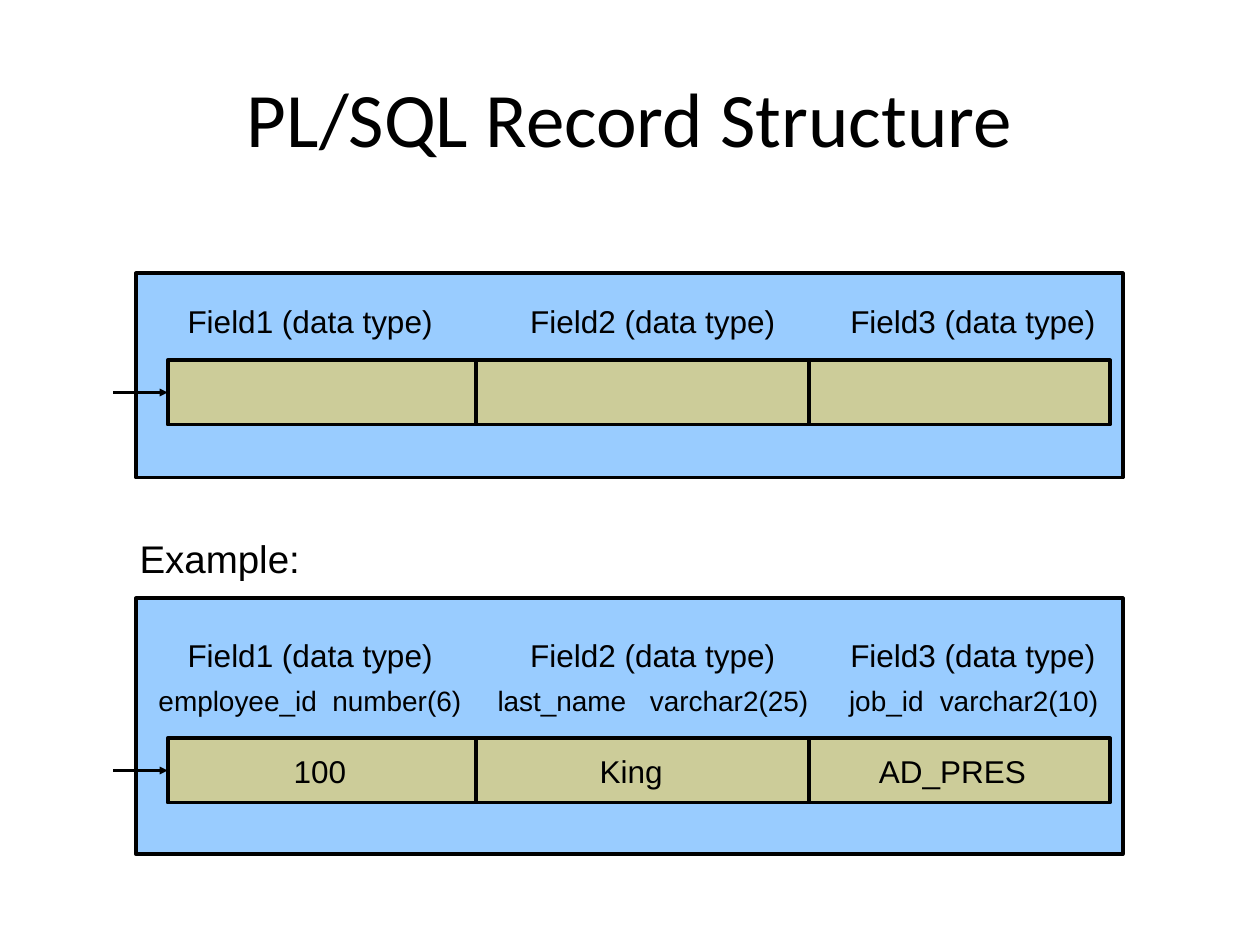
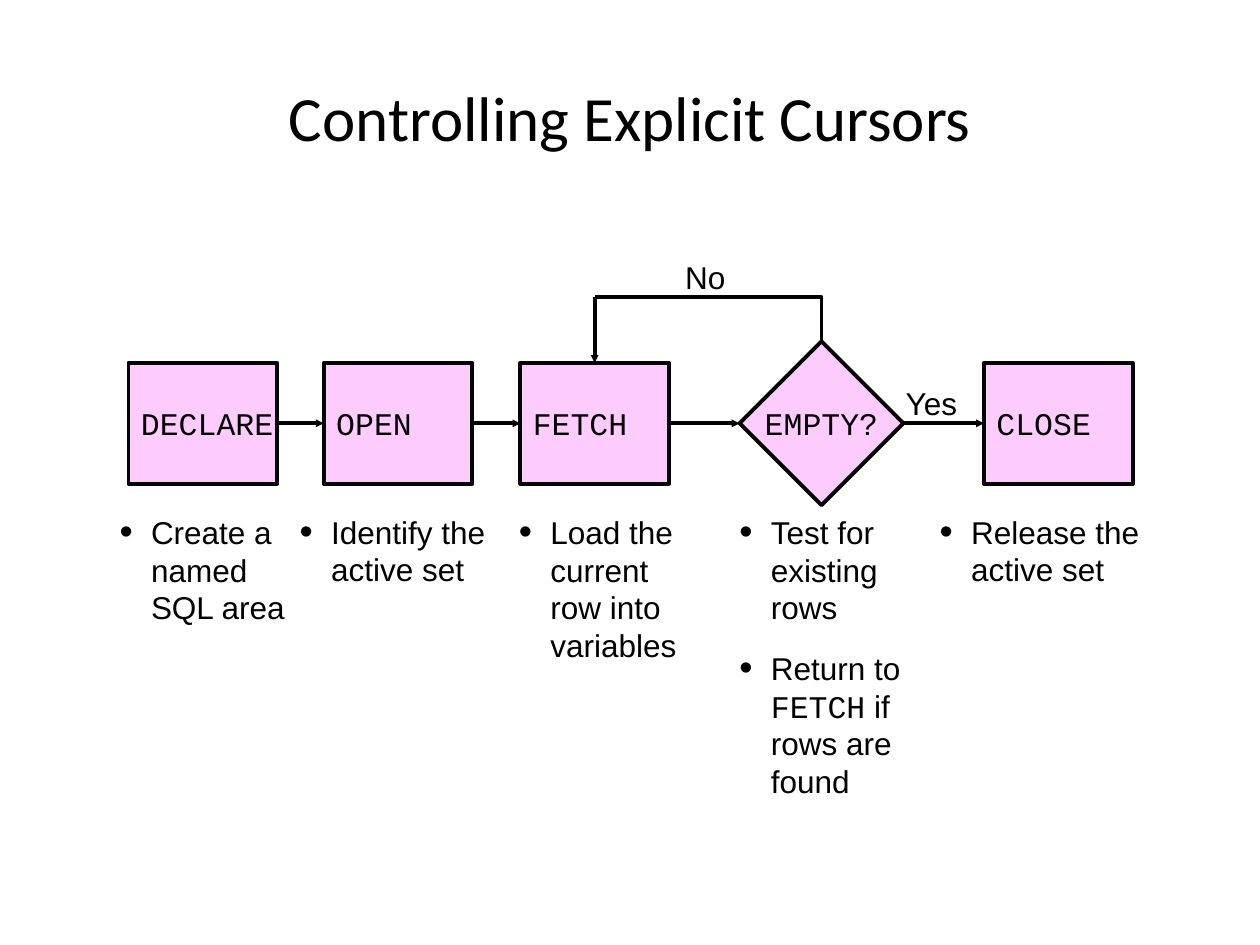
from lxml.etree import SubElement
from pptx import Presentation
from pptx.dml.color import RGBColor
from pptx.enum.shapes import MSO_CONNECTOR as Connector, MSO_SHAPE as Preset
from pptx.enum.text import MSO_ANCHOR as Anchor, PP_ALIGN as Align
from pptx.oxml.ns import qn
from pptx.util import Inches, Pt

COLORS = {"ink": "000000", "record": "99CCFF", "field": "CCCC99", "step": "FFCCFF"}
CODE_FONT = "Courier New"
LINE_WIDTH = Pt(2.25)
COLUMN_LEFTS = [1.39, 4.11, 6.65]
DIVIDERS = [3.78, 6.42]
TOP, LEFT, RIGHT = 0, 1, 3


def color(name):
    """Return the named colour."""
    return RGBColor.from_string(COLORS[name])


def add_bullet(para):
    """Give the paragraph a hanging round bullet."""
    props = para._p.get_or_add_pPr()
    props.set("marL", str(Inches(0.25)))
    props.set("indent", str(-Inches(0.25)))
    SubElement(props, qn("a:buSzPct"), val="120000")
    SubElement(props, qn("a:buFont"), typeface="Arial")
    SubElement(props, qn("a:buChar"), char="•")


def add_tabs(para, stops, kind):
    """Set tab stops, given in inches from the text edge."""
    tabs = SubElement(para._p.get_or_add_pPr(), qn("a:tabLst"))
    for stop in stops:
        SubElement(tabs, qn("a:tab"), pos=str(Inches(stop)), algn=kind)


def write(box, text, size=18, font="Arial", align=Align.LEFT, anchor=Anchor.TOP,
          wrap=True, bullet=False, tabs=(), tab_kind="l", spacing=None):
    """Write text, or a list of (text, font) pairs, into a box."""
    frame = box.text_frame
    frame.word_wrap = wrap
    frame.vertical_anchor = anchor
    para = frame.paragraphs[0]
    if bullet:
        add_bullet(para)
    if tabs:
        add_tabs(para, tabs, tab_kind)
    para.alignment = align
    para.line_spacing = spacing
    for words, face in [(text, font)] if isinstance(text, str) else text:
        span = para.add_run()
        span.text = words
        span.font.name = face
        span.font.size = Pt(size)
        span.font.color.rgb = color("ink")


def add_text(page, text, left, top, width, height, **style):
    """Add a text box."""
    box = page.shapes.add_textbox(*map(Inches, (left, top, width, height)))
    write(box, text, **style)


def add_title(page, text, size):
    """Add the centred slide title."""
    add_text(page, text, 0.5, 0.3, 9, 1.25, size=size, font="Calibri",
             align=Align.CENTER, anchor=Anchor.MIDDLE)


def outline(shape):
    """Give a shape or connector the common black line."""
    shape.line.color.rgb = color("ink")
    shape.line.width = LINE_WIDTH


def add_block(page, fill, left, top, width, height, preset=Preset.RECTANGLE):
    """Add a filled and outlined shape."""
    block = page.shapes.add_shape(preset, *map(Inches, (left, top, width, height)))
    block.shadow.inherit = False
    block.fill.solid()
    block.fill.fore_color.rgb = color(fill)
    outline(block)
    return block


def add_line(page, start=(0, 0), end=(0, 0), source=None, target=None, arrow=False):
    """Add a line between points or (shape, side) pairs."""
    line = page.shapes.add_connector(Connector.STRAIGHT, *map(Inches, (*start, *end)))
    outline(line)
    if source:
        line.begin_connect(*source)
    if target:
        line.end_connect(*target)
    if arrow:
        SubElement(line.line._get_or_add_ln(), qn("a:tailEnd"),
                   type="triangle", w="sm", len="sm")
    SubElement(line._element.spPr, qn("a:effectLst"))


def add_record(page, top, height, label_top, bar_top):
    """Draw a record of three labelled fields and return its bar."""
    add_block(page, "record", 1.08, top, 7.83, height)
    bar = add_block(page, "field", 1.33, bar_top, 7.48, 0.51)
    middle = bar_top + 0.51 / 2
    add_line(page, (0.9, middle), (1.33, middle), target=(bar, LEFT), arrow=True)
    for x in DIVIDERS:
        add_line(page, (x, bar_top + 0.01), (x, bar_top + 0.52))
    for number, left in enumerate(COLUMN_LEFTS, 1):
        add_text(page, f"Field{number} (data type)", left, label_top, 2.25, 0.4)
    return bar


def build_record_slide(page):
    """Build the slide on record structure."""
    add_title(page, "PL/SQL Record Structure", 44)
    add_record(page, 2.17, 1.62, 2.35, 2.86)
    add_text(page, "Example:", 1.01, 4.22, 8.01, 0.45, size=22, spacing=0.95)
    bar = add_record(page, 4.75, 2.03, 5, 5.86)
    write(bar, "\t100\tKing\tAD_PRES", anchor=Anchor.MIDDLE,
          tabs=[1.11, 3.58, 6.13], tab_kind="ctr")
    columns = [("employee_id\tnumber(6)", 1.16, 2.7, 1.38),
               ("last_name\tvarchar2(25)", 3.85, 2.75, 1.21),
               ("job_id\tvarchar2(10)", 6.64, 2.25, 0.72)]
    for text, left, width, stop in columns:
        add_text(page, text, left, 5.38, width, 0.37, size=16, tabs=[stop])


def build_cursor_slide(page):
    """Build the slide on the steps of an explicit cursor."""
    add_title(page, "Controlling Explicit Cursors", 36)
    steps = {}
    for name, left in [("DECLARE", 1.02), ("OPEN", 2.57), ("FETCH", 4.13), ("CLOSE", 7.81)]:
        steps[name] = add_block(page, "step", left, 2.88, 1.18, 0.96)
        write(steps[name], name, font=CODE_FONT, anchor=Anchor.MIDDLE, wrap=False)
    steps["EMPTY?"] = add_block(page, "step", 5.87, 2.71, 1.3, 1.3, Preset.DIAMOND)
    write(steps["EMPTY?"], "EMPTY?", font=CODE_FONT, align=Align.CENTER,
          anchor=Anchor.MIDDLE, wrap=False)

    order = ["DECLARE", "OPEN", "FETCH", "EMPTY?", "CLOSE"]
    for before, after in zip(order, order[1:]):
        add_line(page, source=(steps[before], RIGHT), target=(steps[after], LEFT), arrow=True)

    builder = page.shapes.build_freeform(Inches(6.52), Inches(2.71))
    corners = [(6.52, 2.36), (4.72, 2.36)]
    builder.add_line_segments([(Inches(x), Inches(y)) for x, y in corners], close=False)
    loop = builder.convert_to_shape()
    loop.shadow.inherit = False
    loop.fill.background()
    outline(loop)
    add_line(page, (4.72, 2.36), target=(steps["FETCH"], TOP), arrow=True)
    add_text(page, "No", 5.34, 2, 0.6, 0.4)
    add_text(page, "Yes", 7.09, 3, 0.7, 0.4)

    return_note = [("Return to ", "Arial"), ("FETCH", CODE_FONT),
                   (" if rows are found", "Arial")]
    notes = [("Create a named SQL area", 0.85, 4.02, 1.69, 1.01),
             ("Identify the active set", 2.28, 4.02, 1.9, 0.8),
             ("Load the current row into variables", 4.02, 4.02, 1.56, 1.42),
             ("Test for existing rows", 5.77, 4.02, 1.6, 1.22),
             (return_note, 5.77, 5.1, 1.6, 1.56),
             ("Release the active set", 7.36, 4.02, 1.9, 0.8)]
    for text, *place in notes:
        add_text(page, text, *place, bullet=True)


def main():
    """Build and save the deck."""
    deck = Presentation()
    deck.slide_width, deck.slide_height = Inches(10), Inches(7.5)
    for build in (build_record_slide, build_cursor_slide):
        build(deck.slides.add_slide(deck.slide_layouts[6]))
    deck.save("out.pptx")


if __name__ == "__main__":
    main()
